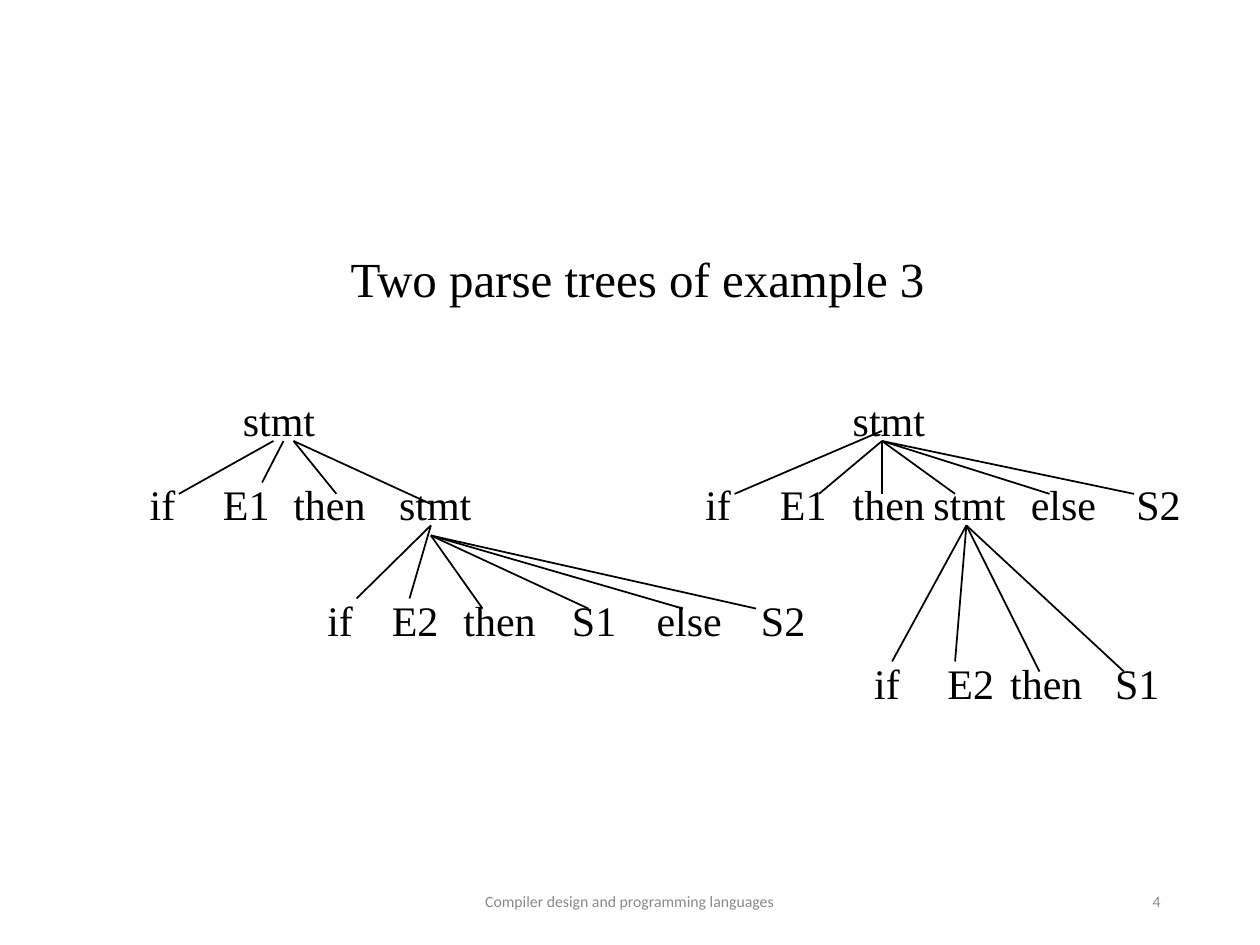
from pptx import Presentation
from pptx.dml.color import RGBColor
from pptx.enum.shapes import MSO_CONNECTOR
from pptx.enum.text import MSO_ANCHOR, MSO_AUTO_SIZE, PP_ALIGN
from pptx.oxml.ns import qn
from pptx.util import Inches, Pt
from lxml import etree

BLACK = RGBColor(0x00, 0x00, 0x00)
GREY = RGBColor(0x89, 0x89, 0x89)

TITLE = {"name": "Times New Roman", "size": Pt(28)}
NODE = {"name": "Times New Roman", "size": Pt(24)}
FOOT = {"name": "Calibri", "size": Pt(9)}

WIDTHS = {"if": 0.4, "E1": 0.75, "E2": 0.75, "then": 0.77,
          "stmt": 0.77, "else": 0.72, "S1": 0.55, "S2": 0.55}

# Each row of words: top, then (word, left) pairs
ROWS = [
    (3.08, [("stmt", 1.83), ("stmt", 6.67)]),
    (3.75, [("if", 1.09), ("E1", 1.58), ("then", 2.23), ("stmt", 3.07)]),
    (3.75, [("if", 5.5), ("E1", 6), ("then", 6.67), ("stmt", 7.31),
            ("else", 8.08), ("S2", 8.92)]),
    (4.67, [("if", 2.5), ("E2", 2.92), ("then", 3.58), ("S1", 4.44),
            ("else", 5.11), ("S2", 5.94)]),
    (5.17, [("if", 6.84), ("E2", 7.33), ("then", 7.92), ("S1", 8.75)]),
]

# Each fan of branches: start point, then end points
FANS = [
    ((2.17, 3.5), [(1.42, 3.92)]),
    ((2.25, 3.5), [(2.08, 3.83)]),
    ((2.33, 3.5), [(2.67, 3.92), (3.42, 4)]),
    ((3.42, 4.17), [(2.83, 4.75), (3.25, 4.75)]),
    ((3.42, 4.25), [(3.83, 4.83), (4.67, 4.83), (5.42, 4.83), (6, 4.83)]),
    ((7, 3.42), [(5.83, 3.92)]),
    ((7, 3.5), [(6.5, 3.92), (7, 3.92), (7.58, 3.92), (8.33, 3.92),
                (9, 3.92)]),
    ((7.67, 4.17), [(7.08, 5.25), (7.58, 5.25), (8.25, 5.33), (8.92, 5.33)]),
]


def write(shape, text, form, color=BLACK, align=PP_ALIGN.CENTER,
          anchor=MSO_ANCHOR.TOP, wrap=False):
    frame = shape.text_frame
    frame.text = text
    frame.word_wrap = wrap
    frame.auto_size = MSO_AUTO_SIZE.NONE
    frame.vertical_anchor = anchor
    para = frame.paragraphs[0]
    para.alignment = align
    font = para.runs[0].font
    for key, value in form.items():
        setattr(font, key, value)
    font.color.rgb = color


def add_box(left, top, width, height):
    return slide.shapes.add_textbox(
        Inches(left), Inches(top), Inches(width), Inches(height))


deck = Presentation()
deck.slide_width = Inches(10)
deck.slide_height = Inches(7.5)
slide = deck.slides.add_slide(deck.slide_layouts[5])

title = slide.shapes.title
place = {"left": 2.67, "top": 1.92, "width": 4.78, "height": 0.57}
for key, value in place.items():
    setattr(title, key, Inches(value))
write(title, "Two parse trees of example 3", TITLE)

for top, words in ROWS:
    for word, left in words:
        write(add_box(left, top, WIDTHS[word], 0.5), word, NODE)

for start, ends in FANS:
    for end in ends:
        line = slide.shapes.add_connector(
            MSO_CONNECTOR.STRAIGHT, *map(Inches, start + end))
        line.line.color.rgb = BLACK
        line.line.width = Pt(1)
        etree.SubElement(line._element.spPr, qn("a:effectLst"))

for text, left, width, align in [
    ("Compiler design and programming languages", 3.31, 3.37,
     PP_ALIGN.CENTER),
    ("4", 7.06, 2.25, PP_ALIGN.RIGHT),
]:
    write(add_box(left, 6.95, width, 0.4), text, FOOT, GREY, align,
          MSO_ANCHOR.MIDDLE, True)

deck.save("out.pptx")
